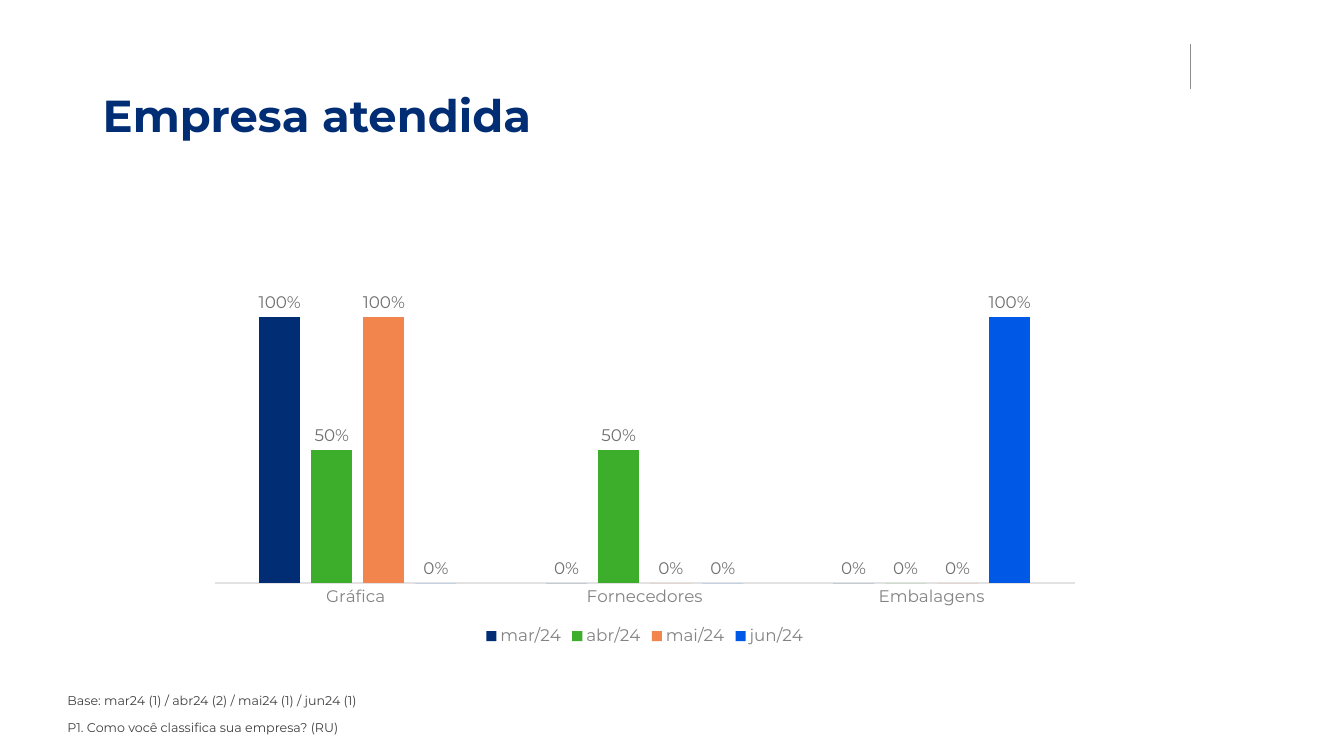
from lxml import etree
from pptx import Presentation
from pptx.chart.data import CategoryChartData
from pptx.dml.color import RGBColor
from pptx.enum.chart import XL_CHART_TYPE, XL_LABEL_POSITION, XL_LEGEND_POSITION, XL_TICK_MARK
from pptx.enum.shapes import MSO_CONNECTOR
from pptx.enum.text import MSO_ANCHOR
from pptx.oxml.ns import qn
from pptx.util import Inches, Pt

COLUMNS = XL_CHART_TYPE.COLUMN_CLUSTERED
OUTSIDE_END = XL_LABEL_POSITION.OUTSIDE_END
BOTTOM = XL_LEGEND_POSITION.BOTTOM
NO_TICK = XL_TICK_MARK.NONE
STRAIGHT = MSO_CONNECTOR.STRAIGHT
TOP = MSO_ANCHOR.TOP

NAVY = RGBColor(0x00, 0x2D, 0x74)
GREEN = RGBColor(0x3D, 0xAE, 0x2B)
ORANGE = RGBColor(0xF1, 0x85, 0x4D)
BLUE = RGBColor(0x00, 0x58, 0xE6)
DARK_GRAY = RGBColor(0x40, 0x40, 0x40)
LABEL_GRAY = RGBColor(0x70, 0x70, 0x70)
AXIS_GRAY = RGBColor(0x83, 0x83, 0x83)
RULE_GRAY = RGBColor(0x8C, 0x8C, 0x8C)
AXIS_LINE = RGBColor(0xE2, 0xE2, 0xE2)

COMPANY_TYPES = ["Gráfica ", "Fornecedores", "Embalagens"]
MONTHS = [
    ("mar/24", (1, 0, 0), NAVY),
    ("abr/24", (0.5, 0.5, 0), GREEN),
    ("mai/24", (1, 0, 0), ORANGE),
    ("jun/24", (0, 0, 1), BLUE),
]
NOTES = [
    "Base: mar24 (1) / abr24 (2) / mai24 (1) / jun24 (1)",
    "P1. Como você classifica sua empresa? (RU)",
]


class SlideBuilder:
    typeface = "Montserrat"
    percent = "0%"

    def __init__(self, slide):
        self.slide = slide

    def style_font(self, font, size, color, bold=False):
        font.name = self.typeface
        font.size = Pt(size)
        font.bold = bold
        font.color.rgb = color

    def rule(self, x, top, bottom):
        line = self.slide.shapes.add_connector(
            STRAIGHT, Inches(x), Inches(top), Inches(x), Inches(bottom))
        line.line.color.rgb = RULE_GRAY
        line.line.width = Pt(0.5)
        etree.SubElement(line._element.spPr, qn("a:effectLst"))

    def text(self, place, lines, size, color, bold=False, space_before=0):
        box = self.slide.shapes.add_textbox(*map(Inches, place))
        frame = box.text_frame
        frame.word_wrap = True
        frame.vertical_anchor = TOP
        frame.text = "\n".join(lines)
        for para in frame.paragraphs:
            para.line_spacing = 0.9
            para.space_before = Pt(space_before)
            for span in para.runs:
                self.style_font(span.font, size, color, bold)

    def column_chart(self, place, categories, series_rows):
        data = CategoryChartData(number_format=self.percent)
        data.categories = categories
        for name, values, _ in series_rows:
            data.add_series(name, values)
        chart = self.slide.shapes.add_chart(COLUMNS, *map(Inches, place), data).chart
        self.style_font(chart.font, 10, DARK_GRAY)
        chart.has_title = False
        chart.has_legend = True
        chart.legend.position = BOTTOM
        chart.legend.include_in_layout = False
        self.style_font(chart.legend.font, 12, AXIS_GRAY)

        category_axis = chart.category_axis
        category_axis.major_tick_mark = NO_TICK
        category_axis.format.line.color.rgb = AXIS_LINE
        category_axis.format.line.width = Pt(0.75)
        self.style_font(category_axis.tick_labels.font, 12, AXIS_GRAY)
        value_axis = chart.value_axis
        value_axis.minimum_scale = 0
        value_axis.maximum_scale = 1.2
        value_axis.has_major_gridlines = False
        value_axis.visible = False

        plot = chart.plots[0]
        plot.vary_by_categories = False
        plot.gap_width = 219
        plot.overlap = -27
        for series, (_, _, color) in zip(plot.series, series_rows):
            series.invert_if_negative = False
            series.format.fill.solid()
            series.format.fill.fore_color.rgb = color
            labels = series.data_labels
            labels.show_value = True
            labels.position = OUTSIDE_END
            labels.number_format = self.percent
            labels.number_format_is_linked = False
            self.style_font(labels.font, 12, LABEL_GRAY)


def main():
    deck = Presentation()
    deck.slide_width = Inches(13.33)
    deck.slide_height = Inches(7.5)
    blank_layout = deck.slide_layouts[6]
    builder = SlideBuilder(deck.slides.add_slide(blank_layout))
    builder.rule(11.81, 0.44, 0.88)
    builder.text((0.57, 6.84, 11.42, 0.53), NOTES, 9, DARK_GRAY, space_before=10)
    builder.column_chart((1.95, 2.54, 8.89, 3.91), COMPANY_TYPES, MONTHS)
    builder.text((0.92, 0.88, 6.22, 1.08), ["Empresa atendida"], 32, NAVY, bold=True)
    deck.save("out.pptx")


if __name__ == "__main__":
    main()
